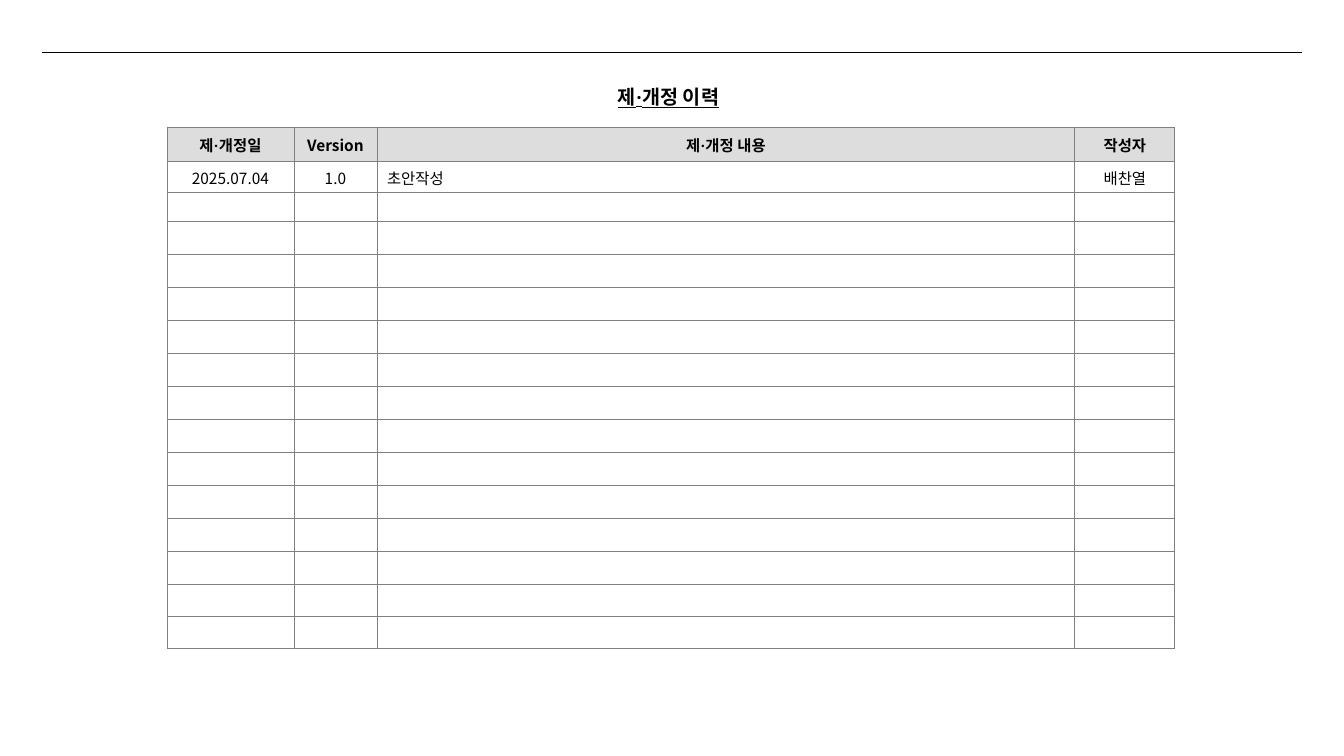
"""Build the revision history slide."""
from dataclasses import dataclass

from lxml.etree import SubElement
from pptx import Presentation
from pptx.dml.color import RGBColor
from pptx.enum.shapes import MSO_CONNECTOR
from pptx.enum.text import MSO_ANCHOR, MSO_AUTO_SIZE, PP_ALIGN
from pptx.oxml.ns import qn
from pptx.util import Pt

PX = 12192000 / 1344
HUES = {"ink": "000000", "head": "DDDDDD", "body": "FFFFFF", "edge": "808080"}
SANS, SERIF, DOT = "Noto Sans CJK KR", "Times New Roman", "·"
ROWS = [35, 31, 29] + [33] * 11 + [32] * 2


@dataclass
class Column:
    """One table column with its heading and first entry."""
    width: int
    head: str
    entry: str
    align: PP_ALIGN = PP_ALIGN.CENTER


COLUMNS = [
    Column(127, "제·개정일", "2025.07.04"),
    Column(83, "Version", "1.0"),
    Column(698, "제·개정 내용", "초안작성", PP_ALIGN.LEFT),
    Column(100, "작성자", "배찬열"),
]


def px(count: int) -> int:
    """Turn pixels into EMU."""
    return round(count * PX)


def hue(name: str) -> RGBColor:
    """Look up a colour."""
    return RGBColor.from_string(HUES[name])


def write(para, text: str, size: int, bold: bool, align: PP_ALIGN, under: bool = False) -> None:
    """Write text, with its middle dot in the serif font."""
    para.alignment = align
    for part in filter(None, text.partition(DOT)):
        run = para.add_run()
        run.text = part
        font = run.font
        font.size, font.bold, font.underline = Pt(size), bold, under
        font.name = SERIF if part == DOT else SANS
        font.color.rgb = hue("ink")
        SubElement(font._element, qn("a:ea"), typeface=SANS)


def dress(cell, fill: str) -> None:
    """Give a cell its borders, fill, margins and anchor."""
    props = cell._tc.get_or_add_tcPr()
    for side in ("lnL", "lnR", "lnT", "lnB"):
        edge = SubElement(props, qn(f"a:{side}"), w=str(Pt(0.75)))
        paint = SubElement(edge, qn("a:solidFill"))
        SubElement(paint, qn("a:srgbClr"), val=HUES["edge"])
    cell.fill.solid()
    cell.fill.fore_color.rgb = hue(fill)
    cell.margin_top = cell.margin_bottom = px(3)
    cell.vertical_anchor = MSO_ANCHOR.MIDDLE


def add_rule(slide) -> None:
    """Draw the thin line across the top."""
    line = slide.shapes.add_connector(MSO_CONNECTOR.STRAIGHT, px(42), px(52), px(1302), px(52))
    line.line.color.rgb = hue("ink")
    line.line.width = Pt(0.5)
    SubElement(line._element.spPr, qn("a:effectLst"))


def add_title(slide) -> None:
    """Place and write the title."""
    title = slide.shapes.title
    title.left, title.top, title.width, title.height = map(px, (327, 80, 683, 33))
    frame = title.text_frame
    frame.auto_size = MSO_AUTO_SIZE.NONE
    frame.word_wrap = True
    frame.vertical_anchor = MSO_ANCHOR.MIDDLE
    write(frame.paragraphs[0], "제·개정 이력", 14, True, PP_ALIGN.CENTER, True)


def add_log(slide) -> None:
    """Draw the table of changes."""
    width = sum(col.width for col in COLUMNS)
    table = slide.shapes.add_table(
        len(ROWS), len(COLUMNS), px(167), px(127), px(width), px(sum(ROWS))).table
    table.first_row = table.horz_banding = False
    for row, high in zip(table.rows, ROWS):
        row.height = px(high)
    for x, col in enumerate(COLUMNS):
        table.columns[x].width = px(col.width)
        for y in range(len(ROWS)):
            cell = table.cell(y, x)
            dress(cell, "body" if y else "head")
            para = cell.text_frame.paragraphs[0]
            if y == 0:
                write(para, col.head, 11, True, PP_ALIGN.CENTER)
            elif y == 1:
                write(para, col.entry, 11, False, col.align)
                para.space_before = Pt(2.2)
            else:
                SubElement(para._p, qn("a:endParaRPr"), sz="1100")


def main() -> None:
    """Build and save the deck."""
    deck = Presentation()
    deck.slide_width, deck.slide_height = px(1344), px(756)
    slide = deck.slides.add_slide(deck.slide_layouts[5])
    add_rule(slide)
    add_title(slide)
    add_log(slide)
    deck.save("out.pptx")


if __name__ == "__main__":
    main()
